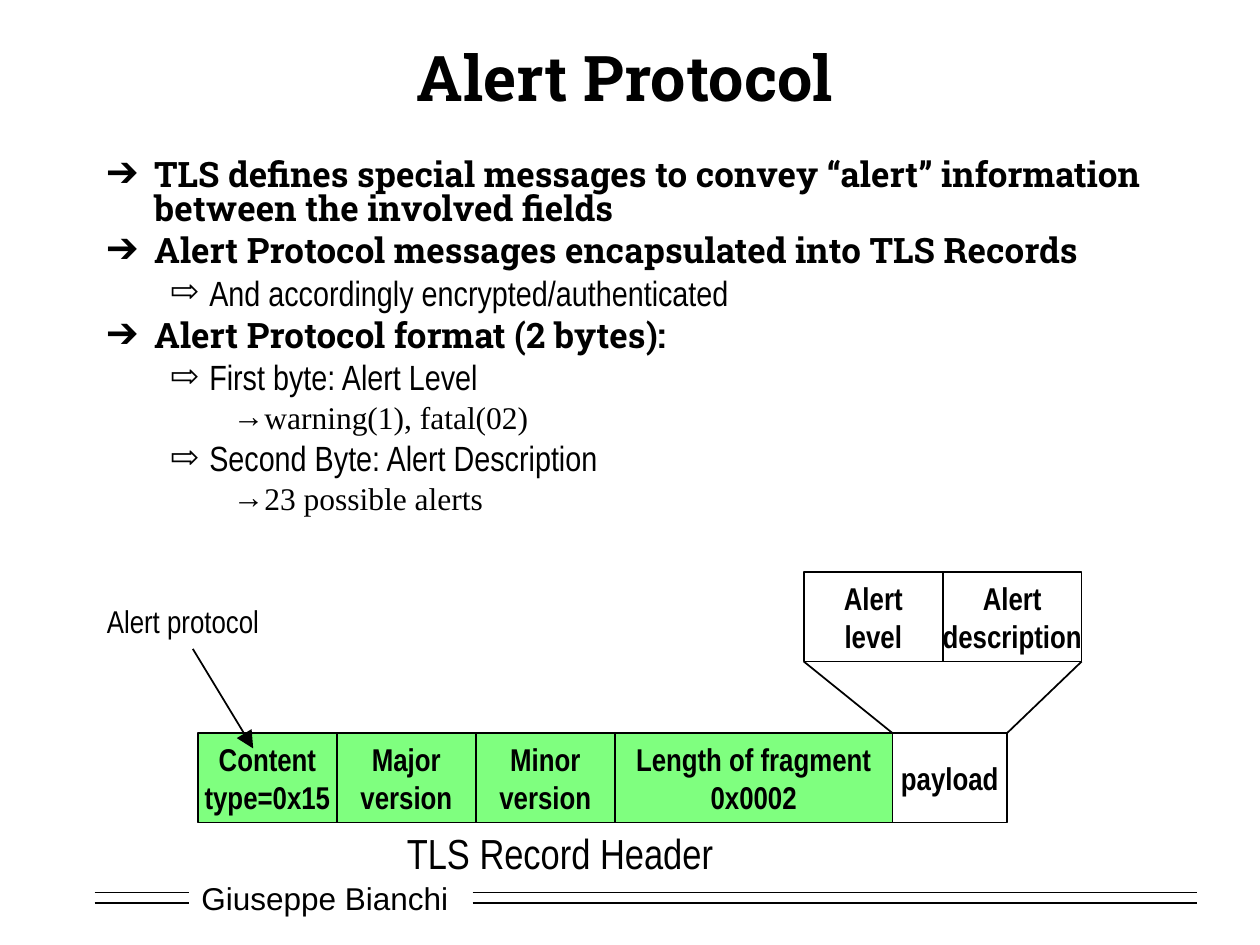
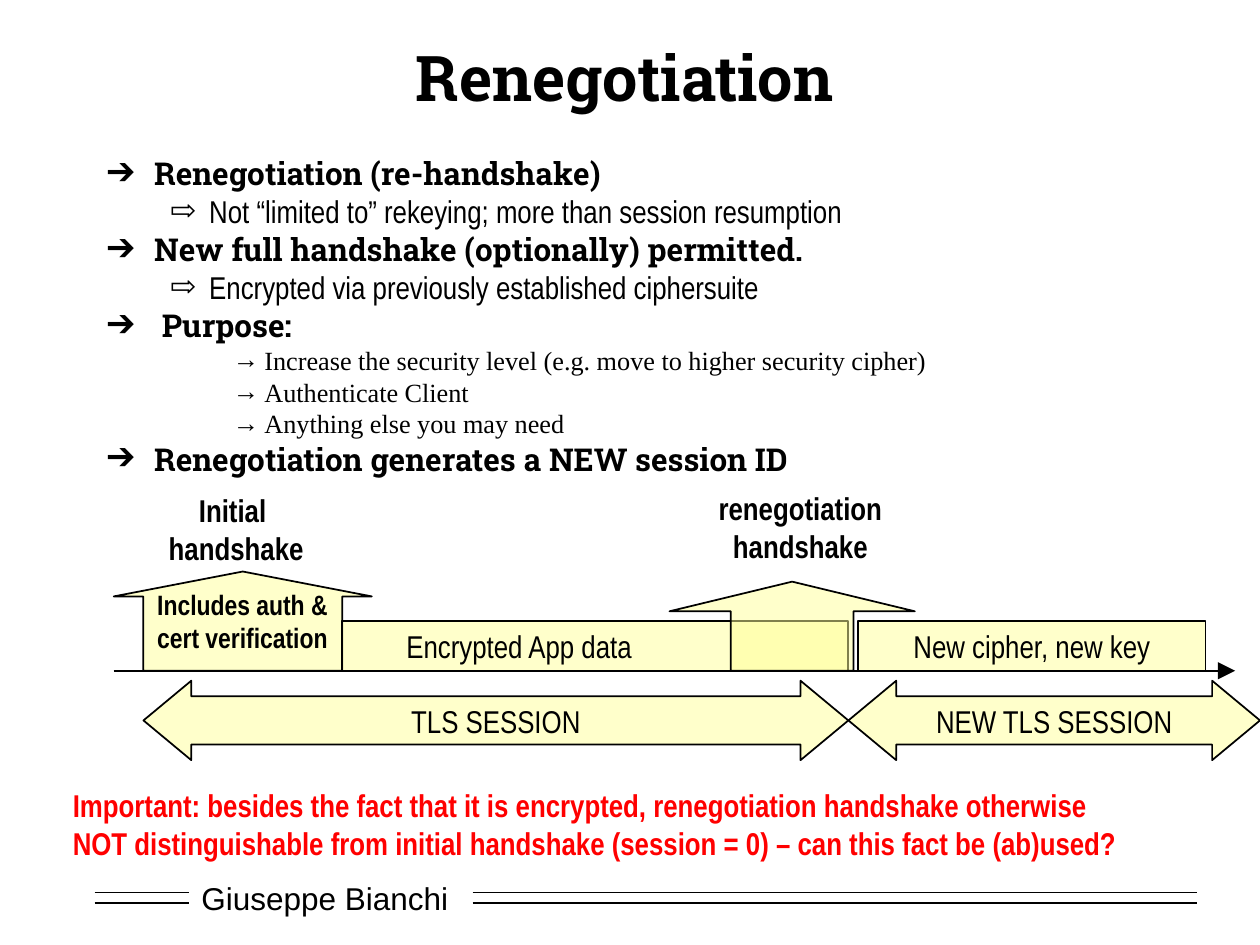
from lxml import etree
from pptx import Presentation
from pptx.dml.color import RGBColor
from pptx.enum.shapes import MSO_CONNECTOR, MSO_SHAPE
from pptx.enum.text import MSO_ANCHOR, MSO_AUTO_SIZE, PP_ALIGN
from pptx.oxml.ns import qn
from pptx.util import Pt

RECTANGLE = MSO_SHAPE.RECTANGLE
UP_ARROW = MSO_SHAPE.UP_ARROW
DOUBLE_ARROW = MSO_SHAPE.LEFT_RIGHT_ARROW
STRAIGHT = MSO_CONNECTOR.STRAIGHT
LEFT, CENTER = PP_ALIGN.LEFT, PP_ALIGN.CENTER
TOP, MIDDLE = MSO_ANCHOR.TOP, MSO_ANCHOR.MIDDLE
FIT_TEXT = MSO_AUTO_SIZE.SHAPE_TO_FIT_TEXT

color = RGBColor.from_string
BLACK, WHITE, RED, GREEN, YELLOW = "000000", "FFFFFF", "FF0000", "00FF00", "FFFF99"
HEADING_FONT, LABEL_FONT, DETAIL_FONT = "Roboto Slab", "Arial Narrow", "Times New Roman"

# Per level: bullet, left margin, hanging indent, font, bold
LEVELS = [
    ("➔", 27, 27, HEADING_FONT, True),
    ("⇨", 58.5, 22.5, LABEL_FONT, False),
    ("→", 90, 18, DETAIL_FONT, False),
]


def add_box(slide, box, text="", preset=None, fill=None, adjustments=(), size=18,
            bold=False, font_color=BLACK, font=LABEL_FONT, align=CENTER):
    """Add a half-transparent outlined preset shape, or a text box if no preset is given."""
    lengths = [Pt(value) for value in box]
    if preset is None:
        shape = slide.shapes.add_textbox(*lengths)
    else:
        shape = slide.shapes.add_shape(preset, *lengths)
        shape.shadow.inherit = False
        for index, value in enumerate(adjustments):
            shape.adjustments[index] = value
        shape.fill.solid()
        shape.fill.fore_color.rgb = color(fill)
        fill_color = shape.fill._xPr.find(".//" + qn("a:srgbClr"))
        etree.SubElement(fill_color, qn("a:alpha"), val="50000")
        shape.line.color.rgb = color(BLACK)
        shape.line.width = Pt(1)
    frame = shape.text_frame
    frame.word_wrap = False
    if preset is None:
        frame.auto_size = FIT_TEXT
    frame.vertical_anchor = TOP if preset is None else MIDDLE
    paragraph = frame.paragraphs[0]
    paragraph.alignment = align
    for index, line in enumerate(text.split("\n") if text else []):
        if index:
            paragraph.add_line_break()
        run = paragraph.add_run()
        run.text = line
        run.font.name, run.font.size, run.font.bold = font, Pt(size), bold
        run.font.color.rgb = color(font_color)
    return shape


def add_line(slide, points, arrow=False):
    connector = slide.shapes.add_connector(STRAIGHT, *[Pt(value) for value in points])
    connector.line.color.rgb = color(BLACK)
    connector.line.width = Pt(1)
    if arrow:
        etree.SubElement(connector.line._get_or_add_ln(), qn("a:tailEnd"),
                         type="triangle", w="lg", len="lg")
    etree.SubElement(connector._element.spPr, qn("a:effectLst"))


presentation = Presentation()
presentation.slide_width, presentation.slide_height = Pt(720), Pt(540)

# Per slide: title, body box, (size, space before) per level, (level, text) points
CONTENT = [
    ("Alert Protocol", (54, 88.5, 635, 247), [(20, 5), (20, 5), (18, 4.5)], [
        (0, "TLS defines special messages to convey “alert” information between the involved fields"),
        (0, "Alert Protocol messages encapsulated into TLS Records"),
        (1, "And accordingly encrypted/authenticated"),
        (0, "Alert Protocol format (2 bytes):"),
        (1, "First byte: Alert Level"),
        (2, "warning(1), fatal(02)"),
        (1, "Second Byte: Alert Description"),
        (2, "23 possible alerts"),
    ]),
    ("Renegotiation", (54, 88.5, 606, 204), [(18, 4.5), (18, 4.5), (15, 3.7)], [
        (0, "Renegotiation (re-handshake)"),
        (1, "Not “limited to” rekeying; more than session resumption"),
        (0, "New full handshake (optionally) permitted."),
        (1, "Encrypted via previously established ciphersuite"),
        (0, " Purpose:"),
        (2, "Increase the security level (e.g. move to higher security cipher)"),
        (2, "Authenticate Client"),
        (2, "Anything else you may need"),
        (0, "Renegotiation generates a NEW session ID"),
    ]),
]

# Shared frame of both slides: footer, title and bulleted body
slides = []
for title_text, body_box, level_sizes, points in CONTENT:
    slide = presentation.slides.add_slide(presentation.slide_layouts[5])
    slides.append(slide)
    slide.background.fill.solid()
    slide.background.fill.fore_color.rgb = color(WHITE)

    footer = add_box(slide, (108, 498.5, 156, 29), "Giuseppe Bianchi", font="Arial", align=LEFT)
    footer.text_frame.word_wrap = True
    footer.text_frame.vertical_anchor = MIDDLE
    for y in (510, 516):
        for start, end in ((54, 108), (270, 684)):
            add_line(slide, (start, y, end, y))

    title = slide.shapes.title
    title.left, title.top, title.width, title.height = Pt(54), Pt(18), Pt(606), Pt(51)
    title.text_frame.vertical_anchor = MIDDLE
    paragraph = title.text_frame.paragraphs[0]
    paragraph.alignment = CENTER
    run = paragraph.add_run()
    run.text = title_text
    run.font.name, run.font.size, run.font.bold = HEADING_FONT, Pt(36), True
    run.font.color.rgb = color(BLACK)

    body = slide.shapes.add_textbox(*[Pt(value) for value in body_box]).text_frame
    body.word_wrap = True
    for index, (level, text) in enumerate(points):
        bullet, margin, hanging, font, bold = LEVELS[level]
        size, space_before = level_sizes[level]
        paragraph = body.add_paragraph() if index else body.paragraphs[0]
        paragraph.level = level
        properties = paragraph._p.get_or_add_pPr()
        properties.set("marL", str(Pt(margin)))
        properties.set("indent", str(-Pt(hanging)))
        bullet_color = etree.SubElement(properties, qn("a:buClr"))
        etree.SubElement(bullet_color, qn("a:srgbClr"), val=BLACK)
        etree.SubElement(properties, qn("a:buFont"), typeface=DETAIL_FONT)
        etree.SubElement(properties, qn("a:buChar"), char=bullet)
        paragraph.line_spacing = 0.8
        if index:
            paragraph.space_before = Pt(space_before)
        run = paragraph.add_run()
        run.text = text
        run.font.name, run.font.size, run.font.bold = font, Pt(size), bold
        run.font.color.rgb = color(BLACK)

alert_slide, renegotiation_slide = slides

# Alert Protocol: record fields laid side by side, alert fields above the payload
FIELD_WIDTH, FIELD_HEIGHT = 79.4, 51
RECORD_LEFT, RECORD_TOP = 113.1, 419
ALERT_LEFT, ALERT_TOP = 459.3, 327
PAYLOAD_WIDTH = 65.3
record_fields = [
    ("Content\ntype=0x15", FIELD_WIDTH, GREEN),
    ("Major\nversion", FIELD_WIDTH, GREEN),
    ("Minor\nversion", FIELD_WIDTH, GREEN),
    ("Length of fragment\n0x0002", 2 * FIELD_WIDTH, GREEN),
    ("payload", PAYLOAD_WIDTH, WHITE),
]
alert_fields = [(text, FIELD_WIDTH, WHITE) for text in ("Alert\nlevel", "Alert\ndescription")]
for x, top, fields in ((RECORD_LEFT, RECORD_TOP, record_fields),
                       (ALERT_LEFT, ALERT_TOP, alert_fields)):
    for text, width, fill in fields:
        add_box(alert_slide, (x, top, width, FIELD_HEIGHT), text, RECTANGLE, fill, bold=True)
        x += width

payload_left = RECORD_LEFT + 5 * FIELD_WIDTH
alert_bottom = ALERT_TOP + FIELD_HEIGHT
add_line(alert_slide, (payload_left, RECORD_TOP, ALERT_LEFT, alert_bottom))
add_line(alert_slide, (payload_left + PAYLOAD_WIDTH, RECORD_TOP,
                       ALERT_LEFT + 2 * FIELD_WIDTH, alert_bottom))
add_box(alert_slide, (225.4, 469.5, 189.4, 36), "TLS Record Header", size=24, align=LEFT)
add_line(alert_slide, (110.2, 370.8, 144.7, 427.7), arrow=True)
add_box(alert_slide, (54, 340.6, 101.5, 29), "Alert protocol", align=LEFT)

# Renegotiation: timeline with handshakes, data phases and session spans
AXIS_Y = 383.3
DATA_TOP, DATA_HEIGHT = 354.9, 28.4
SESSION_TOP, SESSION_HEIGHT = 389, 45.4
SESSION_LEFT, SESSION_SPLIT, SESSION_RIGHT = 82, 484.8, 720
add_line(renegotiation_slide, (65, AXIS_Y, 705.8, AXIS_Y), arrow=True)
add_box(renegotiation_slide, (65, 326.6, 147.5, 56.7), preset=UP_ARROW, fill=YELLOW,
        adjustments=(0.771, 0.251))
add_box(renegotiation_slide, (89.3, 277.2, 91.4, 50.4), "Initial \nhandshake", bold=True)
add_box(renegotiation_slide, (73.6, 331.9, 130, 46), "Includes auth &\ncert verification",
        size=16, bold=True)
app_data = add_box(renegotiation_slide, (195.5, DATA_TOP, 289.3, DATA_HEIGHT),
                   "Encrypted App data", RECTANGLE, YELLOW)
app_data.text_frame.word_wrap = True
app_data.text_frame.margin_right = Pt(94)
add_box(renegotiation_slide, (403.4, 275.8, 108, 50.4), "renegotiation\nhandshake", bold=True)
add_box(renegotiation_slide, (382.6, 332.4, 140.2, 50.9), preset=UP_ARROW, fill=YELLOW,
        adjustments=(0.5, 0.333))
add_box(renegotiation_slide, (490.4, DATA_TOP, 198.6, DATA_HEIGHT),
        "New cipher, new key", RECTANGLE, YELLOW)
for text, left, right in (("TLS SESSION", SESSION_LEFT, SESSION_SPLIT),
                          ("NEW TLS SESSION", SESSION_SPLIT, SESSION_RIGHT)):
    add_box(renegotiation_slide, (left, SESSION_TOP, right - left, SESSION_HEIGHT), text,
            DOUBLE_ARROW, YELLOW, adjustments=(0.607, 0.602))
add_box(renegotiation_slide, (34.5, 445.7, 611.3, 50.4),
        "Important: besides the fact that it is encrypted, renegotiation handshake otherwise\n"
        "NOT distinguishable from initial handshake (session = 0) – can this fact be (ab)used?",
        bold=True, font_color=RED, align=LEFT)

presentation.save("out.pptx")
